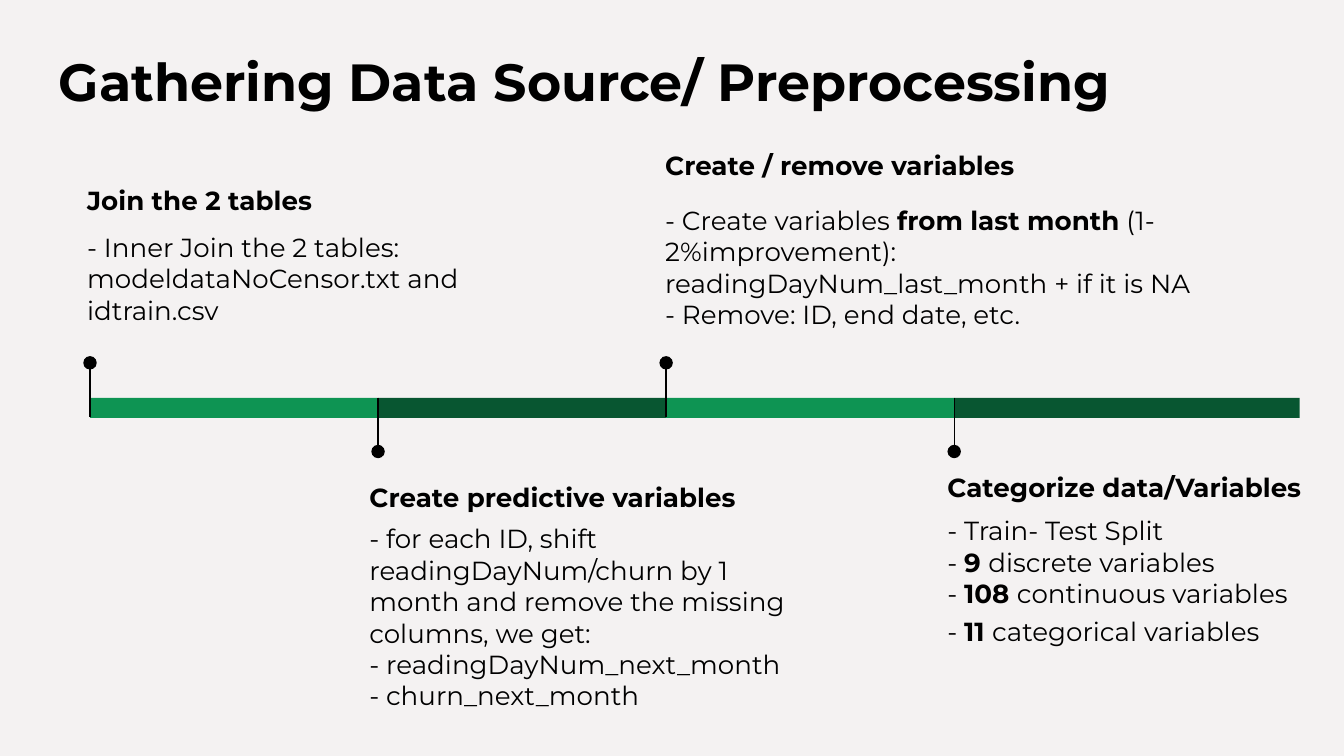
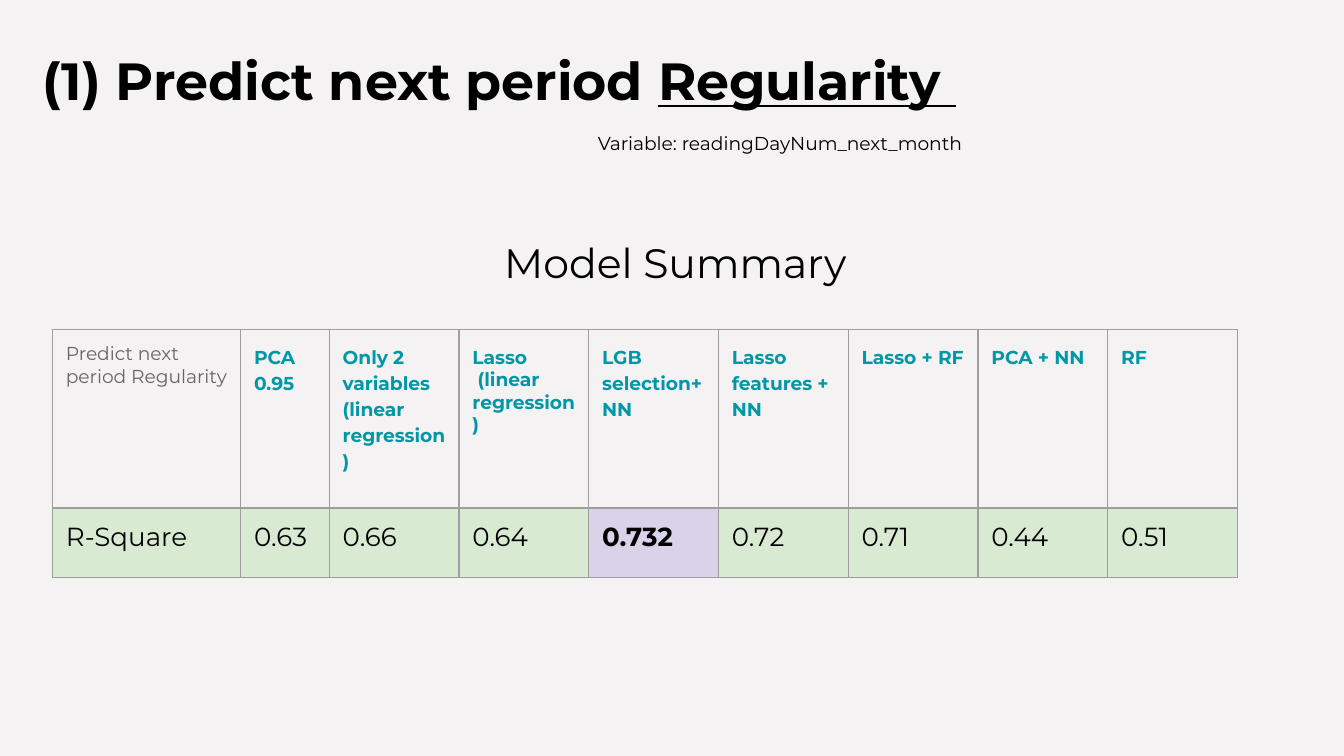
from lxml import etree
from pptx import Presentation
from pptx.dml.color import RGBColor
from pptx.enum.shapes import MSO_CONNECTOR, MSO_SHAPE
from pptx.enum.text import PP_ALIGN
from pptx.oxml.ns import qn
from pptx.util import Inches, Pt

FONT = "Montserrat"
TITLE_SIZE = 28
COLORS = {
    "background": "F4F2F2",
    "text": "000000",
    "light_green": "0E9453",
    "dark_green": "085631",
    "muted": "666666",
    "teal": "0097A7",
    "border": "9E9E9E",
    "result": "D9EAD3",
    "best": "D9D2E9",
}


def write(text_frame, text, size, color="text", spacing=None):
    """Write one paragraph per line of text; words between asterisks are bold."""
    text_frame.word_wrap = True
    text_frame.margin_left = text_frame.margin_right = Inches(0.1)
    text_frame.margin_top = text_frame.margin_bottom = Inches(0.1)
    for number, line in enumerate(text.split("\n")):
        paragraph = text_frame.add_paragraph() if number else text_frame.paragraphs[0]
        if spacing:
            paragraph.line_spacing = spacing
        for position, part in enumerate(line.split("*")):
            if not part:
                continue
            run = paragraph.add_run()
            run.text = part
            run.font.name = FONT
            run.font.size = Pt(size)
            run.font.bold = position % 2 == 1
            run.font.color.rgb = RGBColor.from_string(COLORS[color])


def add_text(slide, box, text, size, spacing=None):
    text_box = slide.shapes.add_textbox(*[Inches(length) for length in box])
    write(text_box.text_frame, text, size, spacing=spacing)
    return text_box.text_frame


presentation = Presentation()
presentation.slide_width = Inches(10)
presentation.slide_height = presentation.slide_width * 9 // 16
slides = []
for number in range(2):
    slide = presentation.slides.add_slide(presentation.slide_layouts[6])
    slide.background.fill.solid()
    slide.background.fill.fore_color.rgb = RGBColor.from_string(COLORS["background"])
    slides.append(slide)
timeline_slide, results_slide = slides

# Slide 1: preprocessing timeline
add_text(timeline_slide, (0.34, 0.27, 8.57, 0.74),
         "*Gathering Data Source/ Preprocessing*", TITLE_SIZE)

TIMELINE_LEFT, LAST_LEFT = 0.67, 7.1
BAR_TOP, BAR_HEIGHT = 2.96, 0.15
STAGE_WIDTH = (LAST_LEFT - TIMELINE_LEFT) / 3
DOT = 0.1

# heading, heading box, body, body box
stages = [
    ("Join the 2 tables", (0.55, 1.27, 2.26, 0.41),
     "- Inner Join the 2 tables: modeldataNoCensor.txt and idtrain.csv",
     (0.55, 1.62, 3, 1.03)),
    ("Create predictive variables", (2.65, 3.48, 3.51, 0.41),
     "- for each ID, shift readingDayNum/churn by 1 month and remove the missing "
     "columns, we get:\n- readingDayNum_next_month\n- churn_next_month",
     (2.65, 3.79, 3.37, 1.03)),
    ("Create / remove variables", (4.85, 1.01, 3.81, 0.41),
     "- Create variables *from last month* (1-2%improvement): "
     "readingDayNum_last_month + if it is NA\n- Remove: ID, end date, etc.",
     (4.85, 1.42, 4.58, 1.03)),
    ("Categorize data/Variables", (6.95, 3.41, 3.13, 0.41),
     "- Train- Test Split\n- *9 *discrete variables\n"
     "- *108 *continuous variables\n- *11 *categorical variables",
     (6.95, 3.73, 2.91, 1.03)),
]
for index, (heading, heading_box, body, body_box) in enumerate(stages):
    left = TIMELINE_LEFT + index * STAGE_WIDTH
    above = index % 2 == 0
    width = 2.57 if index == len(stages) - 1 else STAGE_WIDTH
    line_top, line_bottom = (2.71, 3.1) if above else (BAR_TOP, 3.35)
    dot_top = 2.65 if above else 3.31

    bar = timeline_slide.shapes.add_shape(
        MSO_SHAPE.RECTANGLE, Inches(left), Inches(BAR_TOP), Inches(width), Inches(BAR_HEIGHT))
    stem = timeline_slide.shapes.add_connector(
        MSO_CONNECTOR.STRAIGHT, Inches(left), Inches(line_top), Inches(left), Inches(line_bottom))
    stem.line.color.rgb = RGBColor.from_string(COLORS["text"])
    stem.line.width = Pt(0.75)
    etree.SubElement(stem._element.spPr, qn("a:effectLst"))
    dot = timeline_slide.shapes.add_shape(
        MSO_SHAPE.OVAL, Inches(left - DOT / 2), Inches(dot_top), Inches(DOT), Inches(DOT))
    for shape, color in ((bar, "light_green" if above else "dark_green"), (dot, "text")):
        shape.fill.solid()
        shape.fill.fore_color.rgb = RGBColor.from_string(COLORS[color])
        shape.line.fill.background()
        shape.shadow.inherit = False

    add_text(timeline_slide, heading_box, f"*{heading}*", 14)
    body_frame = add_text(timeline_slide, body_box, body, 14)
body_frame.paragraphs[-1].line_spacing = 1.21

# Slide 2: model results
models = [
    ("Predict next period Regularity", "R-Square"),
    ("*PCA 0.95*", "0.63"),
    ("*Only 2 variables*\n*(linear regression)*", "0.66"),
    ("*Lasso*\n* (linear regression)*", "0.64"),
    ("*LGB selection+ NN*", "*0.732*"),
    ("*Lasso features + NN*", "0.72"),
    ("*Lasso + RF*", "0.71"),
    ("*PCA + NN*", "0.44"),
    ("*RF*", "0.51"),
]
TABLE_WIDTH = 8.82
FIRST_WIDTHS = [1.4, 0.66]
MODEL_WIDTH = (TABLE_WIDTH - sum(FIRST_WIDTHS)) / (len(models) - len(FIRST_WIDTHS))
ROW_HEIGHTS = [1.33, 0.52]
table = results_slide.shapes.add_table(
    2, len(models), Inches(0.39), Inches(2.45),
    Inches(TABLE_WIDTH), Inches(sum(ROW_HEIGHTS))).table
table.first_row = table.horz_banding = False
for row, height in zip(table.rows, ROW_HEIGHTS):
    row.height = Inches(height)

for index, (model, score) in enumerate(models):
    width = FIRST_WIDTHS[index] if index < len(FIRST_WIDTHS) else MODEL_WIDTH
    table.columns[index].width = Inches(width)
    header, result = table.cell(0, index), table.cell(1, index)
    if index == 0:
        write(header.text_frame, model, 10, "muted")
    else:
        write(header.text_frame, model, 10, "teal", 1.15)
    write(result.text_frame, score, 14)
    for cell in (header, result):
        cell.margin_left = cell.margin_right = Inches(0.1)
        cell.margin_top = cell.margin_bottom = Inches(0.1)
        properties = cell._tc.get_or_add_tcPr()
        for side in ("a:lnL", "a:lnR", "a:lnT", "a:lnB"):
            border = etree.SubElement(properties, qn(side), w=str(Pt(0.75)))
            fill = etree.SubElement(border, qn("a:solidFill"))
            etree.SubElement(fill, qn("a:srgbClr"), val=COLORS["border"])
    header.fill.background()
    result.fill.solid()
    result.fill.fore_color.rgb = RGBColor.from_string(
        COLORS["best" if score.startswith("*") else "result"])
table.cell(0, 3).text_frame.paragraphs[1].line_spacing = 1.0

title = add_text(results_slide, (0.22, 0.26, 7.09, 0.74),
                 "*(1) Predict next period **Regularity *", TITLE_SIZE)
title.paragraphs[0].runs[-1].font.underline = True
add_text(results_slide, (4.35, 0.86, 3.28, 0.4),
         "Variable: readingDayNum_next_month", 10, 1.15)
summary = add_text(results_slide, (1.52, 1.67, 7.09, 0.64), "Model Summary ", 22)
summary.paragraphs[0].alignment = PP_ALIGN.CENTER

presentation.save("out.pptx")
